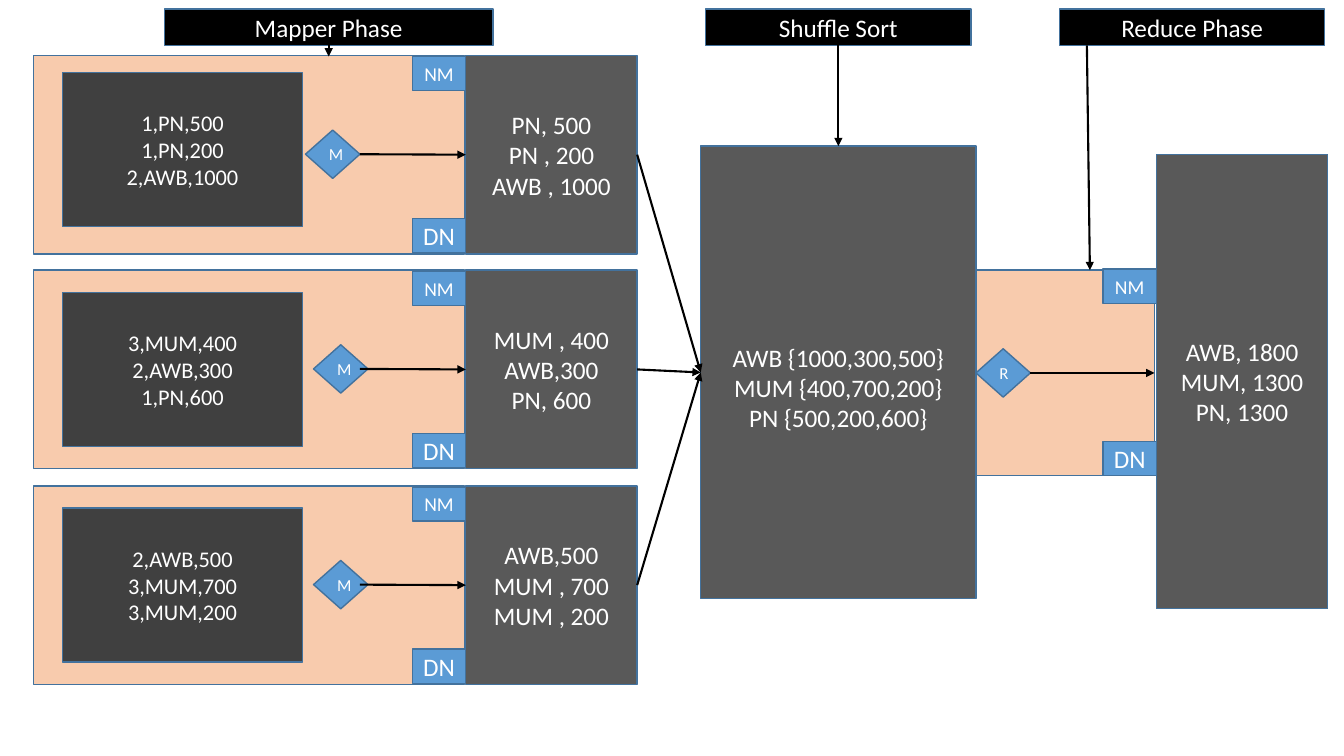
from dataclasses import dataclass
from typing import NamedTuple

from lxml.etree import SubElement
from pptx import Presentation
from pptx.dml.color import RGBColor
from pptx.enum.shapes import MSO_CONNECTOR, MSO_SHAPE
from pptx.enum.text import MSO_ANCHOR, PP_ALIGN
from pptx.oxml.ns import qn
from pptx.shapes.autoshape import Shape
from pptx.util import Emu, Pt

EMU_PER_PX = 9144  # 100 px to the inch
FONT = "Calibri"
COLOURS = {
    "lane": "F8CBAD",
    "input": "404040",
    "output": "595959",
    "node": "5B9BD5",
    "header": "000000",
    "border": "43729D",
    "arrow": "000000",
    "text": "FFFFFF",
}
TOP, LEFT, BOTTOM, RIGHT = range(4)


class Box(NamedTuple):
    left: int
    top: int
    width: int
    height: int


class Point(NamedTuple):
    x: int
    y: int


class Joint(NamedTuple):
    shape: Shape
    side: int


@dataclass
class MapperLane:
    top: int
    input_top: int
    mapper_left: int
    records: str
    pairs: str


@dataclass
class Phase:
    title: str
    box: Box


LANES = [
    MapperLane(55, 72, 303, "1,PN,500\n1,PN,200\n2,AWB,1000", "PN, 500\nPN , 200\nAWB , 1000"),
    MapperLane(268, 290, 311, "3,MUM,400\n2,AWB,300\n1,PN,600", "MUM , 400\nAWB,300\nPN, 600"),
    MapperLane(482, 504, 311, "2,AWB,500\n3,MUM,700\n3,MUM,200", "AWB,500\nMUM , 700\nMUM , 200"),
]
PHASES = [
    Phase("Mapper Phase", Box(163, 9, 326, 36)),
    Phase("Shuffle Sort", Box(700, 9, 263, 36)),
    Phase("Reduce Phase", Box(1051, 9, 263, 36)),
]


def px(length: int) -> Emu:
    return Emu(length * EMU_PER_PX)


def colour(name: str) -> RGBColor:
    return RGBColor.from_string(COLOURS[name])


def write(shape: Shape, text: str, size: int = 18, inset_top: int = 5) -> None:
    frame = shape.text_frame
    frame.vertical_anchor = MSO_ANCHOR.MIDDLE
    frame.margin_top = px(inset_top)
    frame.text = text
    for paragraph in frame.paragraphs:
        paragraph.alignment = PP_ALIGN.CENTER
        for run in paragraph.runs:
            run.font.name = FONT
            run.font.size = Pt(size)
            run.font.color.rgb = colour("text")


def draw_box(box: Box, fill: str, text: str = "", size: int = 18,
             inset_top: int = 5, kind: MSO_SHAPE = MSO_SHAPE.RECTANGLE) -> Shape:
    shape = slide.shapes.add_shape(kind, *map(px, box))
    shape.shadow.inherit = False
    shape.fill.solid()
    shape.fill.fore_color.rgb = colour(fill)
    shape.line.color.rgb = colour("border")
    shape.line.width = Pt(1)
    if text:
        write(shape, text, size=size, inset_top=inset_top)
    return shape


def draw_node(left: int, top: int, letter: str) -> Shape:
    return draw_box(Box(left, top, 54, 48), "node", letter, size=12, kind=MSO_SHAPE.DIAMOND)


def draw_tags(left: int, name_top: int, data_top: int) -> None:
    draw_box(Box(left, name_top, 53, 34), "node", "NM", size=14)
    draw_box(Box(left, data_top, 53, 34), "node", "DN")


def draw_arrow(begin: Joint | Point, end: Joint | Point) -> None:
    start = begin if isinstance(begin, Point) else Point(0, 0)
    stop = end if isinstance(end, Point) else Point(0, 0)
    arrow = slide.shapes.add_connector(MSO_CONNECTOR.STRAIGHT, *map(px, start + stop))
    if isinstance(begin, Joint):
        arrow.begin_connect(begin.shape, begin.side)
    if isinstance(end, Joint):
        arrow.end_connect(end.shape, end.side)
    arrow.line.color.rgb = colour("arrow")
    arrow.line.width = Pt(1.5)
    SubElement(arrow.line._get_or_add_ln(), qn("a:tailEnd"), type="triangle")
    SubElement(arrow._element.spPr, qn("a:effectLst"))


def draw_lane(lane: MapperLane) -> Shape:
    draw_box(Box(33, lane.top, 428, 197), "lane")
    draw_box(Box(62, lane.input_top, 238, 153), "input", lane.records, size=16)
    mapper = draw_node(lane.mapper_left, lane.top + 74, "M")
    draw_tags(409, lane.top + 1, lane.top + 162)
    output = draw_box(Box(462, lane.top, 170, 197), "output", lane.pairs)
    # The lower two arrows start inside their diamond
    touches = lane.mapper_left + 54 == 357
    begin = Joint(mapper, RIGHT) if touches else Point(357, lane.top + 98)
    draw_arrow(begin, Joint(output, LEFT))
    return output


prs = Presentation()
prs.slide_width, prs.slide_height = px(1333), px(750)
slide = prs.slides.add_slide(prs.slide_layouts[6])

# Mapper lanes
mapped = [draw_lane(lane) for lane in LANES]

# Shuffle block, over the left edge of the reducer lane
draw_box(Box(945, 268, 200, 204), "lane")
shuffle = draw_box(Box(695, 145, 273, 449), "output",
                   "AWB {1000,300,500}\nMUM {400,700,200}\nPN {500,200,600}", inset_top=35)
for output in mapped:
    draw_arrow(Joint(output, RIGHT), Joint(shuffle, LEFT))

# Reducer and result
draw_tags(1094, 267, 438)
reducer = draw_node(968, 346, "R")
draw_box(Box(1147, 153, 170, 451), "output", "AWB, 1800\nMUM, 1300\nPN, 1300")
draw_arrow(Joint(reducer, RIGHT), Point(1145, 370))

# Phase headers
mapper_header, shuffle_header, _ = [
    draw_box(phase.box, "header", phase.title) for phase in PHASES
]
draw_arrow(Joint(mapper_header, BOTTOM), Point(326, 56))
draw_arrow(Joint(shuffle_header, BOTTOM), Joint(shuffle, TOP))
draw_arrow(Point(1078, 45), Point(1081, 268))

prs.save("out.pptx")
